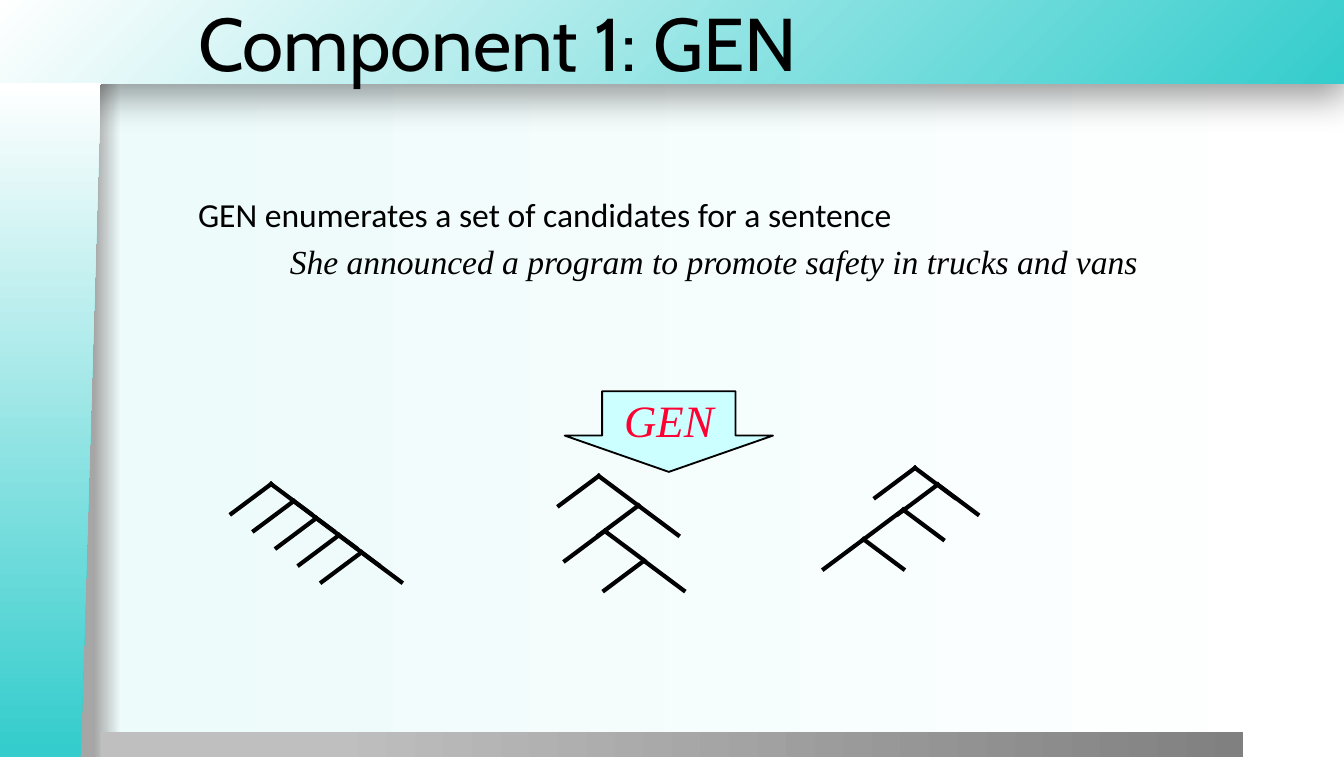
from dataclasses import dataclass

from lxml import etree
from pptx import Presentation
from pptx.dml.color import RGBColor
from pptx.enum import shapes, text
from pptx.oxml import parse_xml
from pptx.oxml.ns import nsdecls, qn
from pptx.util import Pt


@dataclass(frozen=True)
class Theme:
    ink: str = "000000"
    teal: str = "34CCCC"
    white: str = "FFFFFF"
    mint: str = "EDFBFB"
    edge_gray: str = "A6A6A6"
    bar_light: str = "BFBFBF"
    bar_dark: str = "808080"
    arrow_fill: str = "CCFFFF"
    arrow_text: str = "FF0033"
    title_font: str = "Cabin"
    body_font: str = "Calibri"
    example_font: str = "Times New Roman"
    title_size: float = 40
    body_size: float = 18
    arrow_size: float = 24
    branch_width: float = 2.25


THEME = Theme()
SLIDE_WIDTH, SLIDE_HEIGHT = 720, 405.36
LINEAR = '<a:lin ang="0" scaled="0"/>'
FROM_CORNER = '<a:path path="circle"><a:fillToRect l="100000" t="100000"/></a:path>'
ARM_WIDTH, ARM_HEIGHT = 21.25, 15.85


def color(value):
    return RGBColor.from_string(value)


def points(*lengths):
    return [Pt(length) for length in lengths]


def paint_gradient(owner, fill, stops, direction=LINEAR):
    """Fill a shape or the slide background with (percent, colour) stops."""
    fill.solid()
    solid = owner.element.xpath("./p:spPr/a:solidFill | ./p:cSld/p:bg/p:bgPr/a:solidFill")[0]
    stop_xml = "".join(
        f'<a:gs pos="{percent * 1000}"><a:srgbClr val="{value}"/></a:gs>'
        for percent, value in stops)
    gradient = parse_xml(f'<a:gradFill {nsdecls("a")} rotWithShape="1">'
                         f'<a:gsLst>{stop_xml}</a:gsLst>{direction}</a:gradFill>')
    solid.getparent().replace(solid, gradient)


def add_panel(slide, kind, box, stops, direction=LINEAR):
    panel = slide.shapes.add_shape(kind, *points(*box))
    panel.shadow.inherit = False
    panel.line.fill.background()
    paint_gradient(panel, panel.fill, stops, direction)
    return panel


def add_banner(slide, box):
    banner = add_panel(slide, shapes.MSO_SHAPE.RECTANGLE, box,
                       [(0, THEME.teal), (100, THEME.white)], FROM_CORNER)
    effects = banner.element.spPr.find(qn("a:effectLst"))
    effects.append(parse_xml(
        f'<a:outerShdw {nsdecls("a")} blurRad="{Pt(20)}" dist="{Pt(6)}" dir="5400000" '
        f'algn="t" rotWithShape="0"><a:srgbClr val="{THEME.ink}">'
        '<a:alpha val="40000"/></a:srgbClr></a:outerShdw>'))


def add_side_strip(slide, box):
    """Place the slanted strip, a turned shape, upright in the box."""
    left, top, width, height = box
    shift = (height - width) / 2
    strip = add_panel(slide, shapes.MSO_SHAPE.FLOWCHART_MANUAL_INPUT,
                      (left - shift, top + shift, height, width),
                      [(1, THEME.teal), (100, THEME.white)])
    strip.rotation = 270
    strip.element.spPr.find(qn("a:xfrm")).set("flipV", "1")


def add_backdrop(slide):
    paint_gradient(slide, slide.background.fill,
                   [(7, THEME.edge_gray), (9, THEME.mint), (100, THEME.white)])
    add_banner(slide, (-0.5, 0, 720.5, 45))
    add_panel(slide, shapes.MSO_SHAPE.RECTANGLE, (54, 392, 612, 14),
              [(20, THEME.bar_light), (100, THEME.bar_dark)])
    add_side_strip(slide, (0, 44.5, 54, 361.5))


def format_runs(paragraph, font, size, value, italic=False):
    for run in paragraph.runs:
        run.font.name = font
        run.font.size = Pt(size)
        run.font.italic = italic
        run.font.color.rgb = color(value)


def add_title(slide, box, words):
    frame = slide.shapes.add_textbox(*points(*box)).text_frame
    frame.word_wrap = True
    frame.vertical_anchor = text.MSO_ANCHOR.MIDDLE
    frame.text = words
    format_runs(frame.paragraphs[0], THEME.title_font, THEME.title_size, THEME.ink)


def add_body(slide, box, statement, example):
    frame = slide.shapes.add_textbox(*points(*box)).text_frame
    frame.word_wrap = True
    frame.text = f"{statement}\n{example}"
    for paragraph in frame.paragraphs:
        paragraph.space_before = Pt(0.2 * THEME.body_size)
        properties = paragraph._p.get_or_add_pPr()
        properties.set("marL", str(Pt(21)))
        properties.set("indent", str(Pt(-21)))
    first, second = frame.paragraphs
    format_runs(first, THEME.body_font, THEME.body_size, THEME.ink)
    second.alignment = text.PP_ALIGN.CENTER
    format_runs(second, THEME.example_font, THEME.body_size, THEME.ink, italic=True)


def add_branch(group, start, end):
    branch = group.shapes.add_connector(shapes.MSO_CONNECTOR.STRAIGHT,
                                        *points(*start, *end))
    branch.line.color.rgb = color(THEME.ink)
    branch.line.width = Pt(THEME.branch_width)
    branch.element.spPr.find(qn("a:ln")).set("cap", "sq")
    etree.SubElement(branch.element.spPr, qn("a:effectLst"))


def add_tree(slide, origin, apexes):
    """Draw a two-armed fork below each apex, measured from the origin."""
    left, top = origin
    group = slide.shapes.add_group_shape()
    for across, down in apexes:
        x, y = left + across, top + down
        for side in (-1, 1):
            add_branch(group, (x + side * ARM_WIDTH, y + ARM_HEIGHT), (x, y))


def add_gen_arrow(slide, box, label):
    arrow = slide.shapes.add_shape(shapes.MSO_SHAPE.DOWN_ARROW, *points(*box))
    arrow.shadow.inherit = False
    arrow.adjustments[0] = 0.64
    arrow.adjustments[1] = 0.45
    arrow.fill.solid()
    arrow.fill.fore_color.rgb = color(THEME.arrow_fill)
    arrow.line.color.rgb = color(THEME.ink)
    arrow.line.width = Pt(1)
    frame = arrow.text_frame
    frame.word_wrap = False
    frame.vertical_anchor = text.MSO_ANCHOR.MIDDLE
    frame.text = label
    paragraph = frame.paragraphs[0]
    paragraph.alignment = text.PP_ALIGN.CENTER
    format_runs(paragraph, THEME.example_font, THEME.arrow_size, THEME.arrow_text, italic=True)


def add_gen_slide(presentation):
    slide = presentation.slides.add_slide(presentation.slide_layouts[6])
    add_backdrop(slide)
    add_title(slide, (99, 0, 621, 45), "Component 1: GEN")
    add_body(slide, (99, 100.4, 567, 136),
             "GEN enumerates a set of candidates for a sentence",
             "She announced a program to promote safety in trucks and vans")
    add_tree(slide, (124, 259.2),
             [(ARM_WIDTH + 12.1 * step, 9.15 * step) for step in range(5)])
    add_tree(slide, (299.5, 254.9),
             [(ARM_WIDTH, 0), (2 * ARM_WIDTH, ARM_HEIGHT), (24.5, 29.5), (45.5, 45.4)])
    add_tree(slide, (441.4, 250.6),
             [(48.8, 0), (61, 8.9), (42.5, 22.4), (ARM_WIDTH, 38.2)])
    add_gen_arrow(slide, (302.5, 209.5, 111.6, 43.2), "GEN")


def main():
    presentation = Presentation()
    presentation.slide_width, presentation.slide_height = points(SLIDE_WIDTH, SLIDE_HEIGHT)
    add_gen_slide(presentation)
    presentation.save("out.pptx")


if __name__ == "__main__":
    main()
